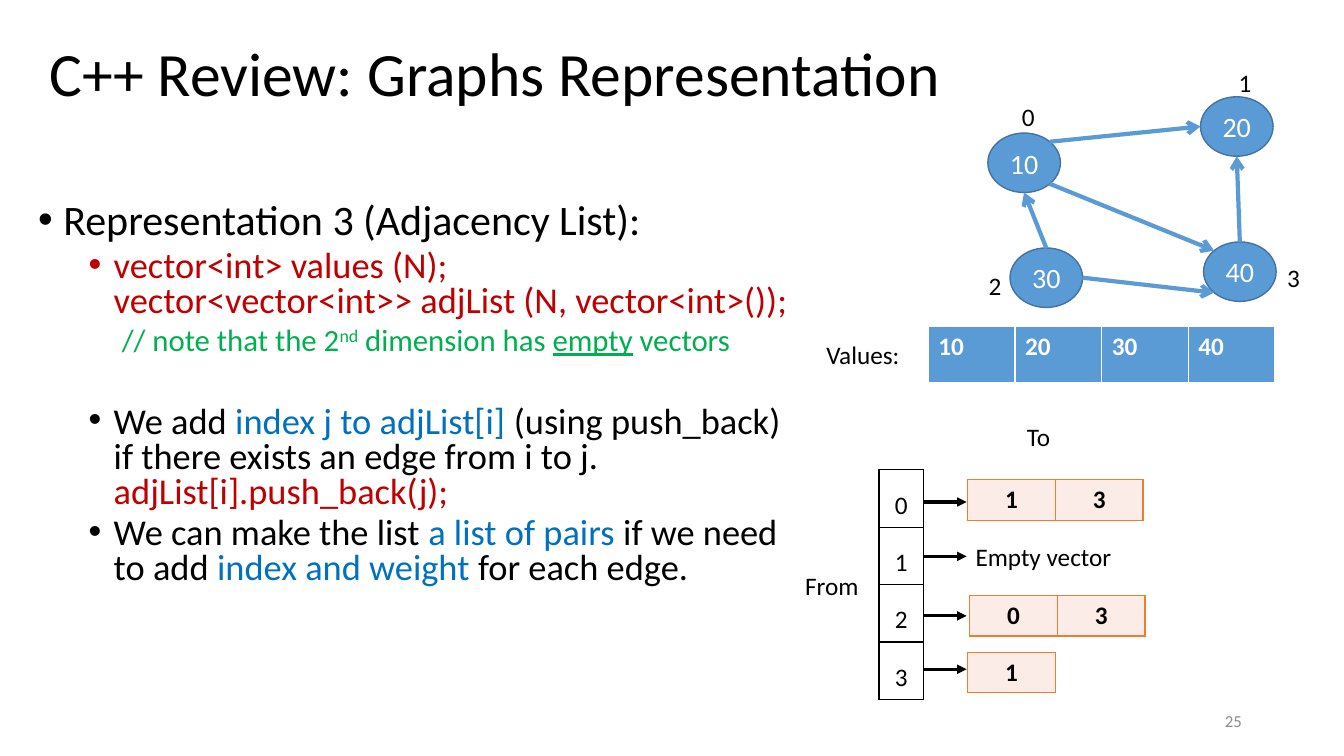
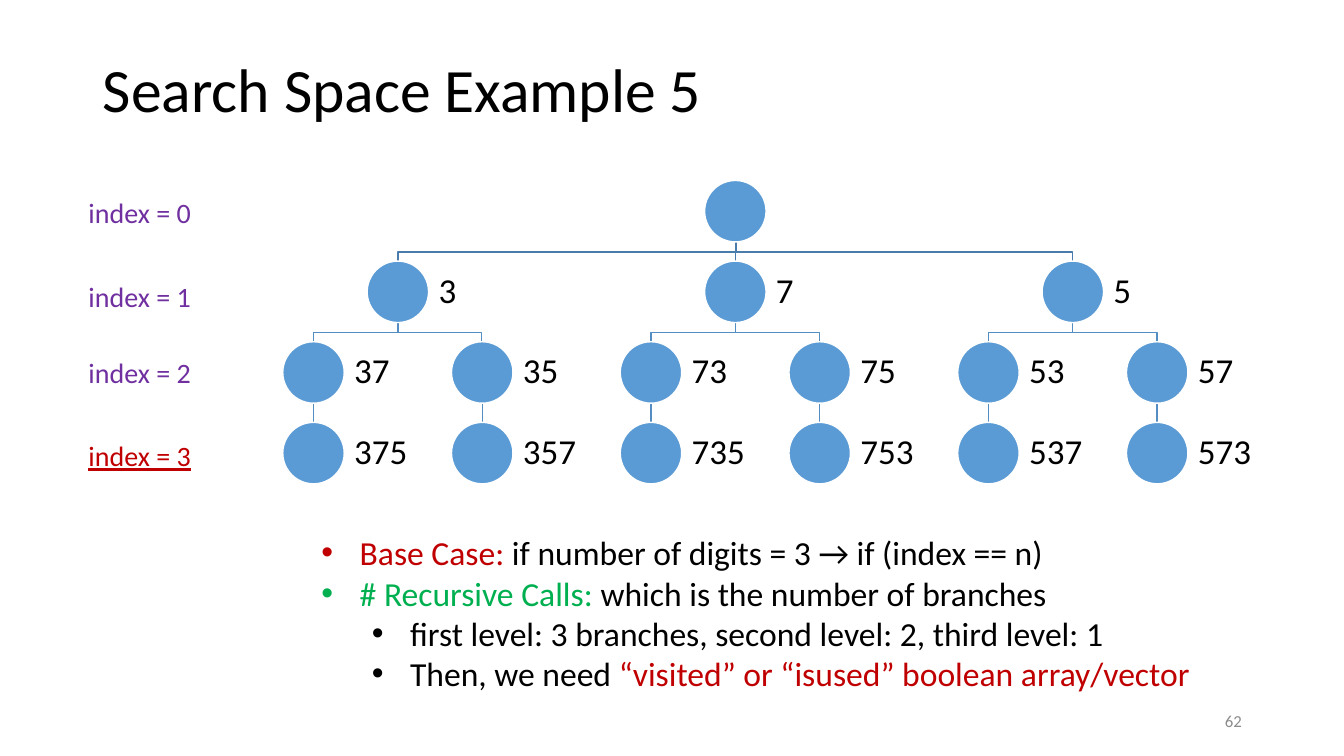
from math import cos, radians, sin

from pptx import Presentation
from pptx.dml.color import RGBColor
from pptx.enum.shapes import MSO_CONNECTOR as Connector, MSO_SHAPE as Shape
from pptx.enum.text import MSO_ANCHOR as Anchor, MSO_AUTO_SIZE as AutoSize, PP_ALIGN as Align
from pptx.oxml.ns import qn
from pptx.util import Pt
from lxml.etree import SubElement

PX = 9144
FONT = "Calibri"
BLACK = RGBColor(0, 0, 0)
WHITE = RGBColor(255, 255, 255)
GRAY = RGBColor(0x8C, 0x8C, 0x8C)
BLUE = RGBColor(0x5B, 0x9B, 0xD5)
NODE_EDGE = RGBColor(0x43, 0x73, 0x9E)
ROOT_BRANCH = RGBColor(0x49, 0x7C, 0xAB)
BRANCH = RGBColor(0x53, 0x8D, 0xC1)
TEXT_BLUE = RGBColor(0, 0x70, 0xC0)
RED = RGBColor(0xC0, 0, 0)
GREEN = RGBColor(0, 0xB0, 0x50)
PURPLE = RGBColor(0x70, 0x30, 0xA0)
ORANGE = RGBColor(0xED, 0x7D, 0x31)
PEACH = RGBColor(0xFC, 0xEC, 0xE8)


def px(*lengths):
    return [round(length * PX) for length in lengths]


def add_run(paragraph, text, size=18, color=BLACK, bold=False, underline=False, baseline=0):
    for number, line in enumerate(text.split("\n")):
        if number:
            paragraph.add_line_break()
        if not line:
            continue
        run = paragraph.add_run()
        run.text = line
        run.font.name = FONT
        run.font.size = Pt(size)
        run.font.color.rgb = color
        run.font.bold = bold
        run.font.underline = underline
        if baseline:
            run.font._element.set("baseline", str(baseline * 1000))


def write(paragraph, *pieces, align=Align.LEFT, spacing=1.0, before=0, left=0, hanging=0,
          bullet=False, **style):
    paragraph.alignment = align
    paragraph.line_spacing = spacing
    paragraph.space_before = Pt(before)
    properties = paragraph._p.get_or_add_pPr()
    properties.set("marL", str(left * PX))
    properties.set("indent", str(-hanging * PX))
    if bullet:
        SubElement(properties, qn("a:buFont"), typeface="Arial")
        SubElement(properties, qn("a:buChar"), char="•")
    for piece in pieces:
        text, changes = (piece, {}) if isinstance(piece, str) else piece
        add_run(paragraph, text, **{**style, **changes})


class Deck:
    def __init__(self):
        self.presentation = Presentation()
        self.presentation.slide_width, self.presentation.slide_height = 12192000, 6858000
        self.slide = None

    def start(self, title, left, top, number):
        self.slide = self.presentation.slides.add_slide(self.presentation.slide_layouts[5])
        shape = self.slide.shapes.title
        shape.left, shape.top, shape.width, shape.height = px(left, top, 1150, 145)
        frame = shape.text_frame
        frame.auto_size = AutoSize.NONE
        frame.vertical_anchor = Anchor.MIDDLE
        write(frame.paragraphs[0], title, size=44, spacing=0.9)
        self.text(942, 695, 300, 40, number, anchor=Anchor.MIDDLE, align=Align.RIGHT,
                  size=12, color=GRAY)

    def frame(self, left, top, width, height, wrap=True, anchor=Anchor.TOP):
        frame = self.slide.shapes.add_textbox(*px(left, top, width, height)).text_frame
        frame.word_wrap = wrap
        frame.vertical_anchor = anchor
        return frame

    def text(self, left, top, width, height, text, wrap=True, anchor=Anchor.TOP, **style):
        frame = self.frame(left, top, width, height, wrap, anchor)
        write(frame.paragraphs[0], text, **style)

    def label(self, left, top, width, text, height=40, **style):
        self.text(left, top, width, height, text, wrap=False, **style)

    def paragraphs(self, box, items, **common):
        frame = self.frame(*box)
        for number, (pieces, style) in enumerate(items):
            paragraph = frame.add_paragraph() if number else frame.paragraphs[0]
            write(paragraph, *pieces, **{**common, **style})

    def ellipse(self, left, top, width, height, edge, text=""):
        shape = self.slide.shapes.add_shape(Shape.OVAL, *px(left, top, width, height))
        shape.shadow.inherit = False
        shape.fill.solid()
        shape.fill.fore_color.rgb = BLUE
        shape.line.color.rgb = edge
        shape.line.width = Pt(1)
        if text:
            shape.text_frame.vertical_anchor = Anchor.MIDDLE
            write(shape.text_frame.paragraphs[0], text, align=Align.CENTER, size=20, color=WHITE)

    def line(self, start, end, color, width, head=None):
        connector = self.slide.shapes.add_connector(Connector.STRAIGHT, *px(*start, *end))
        connector.line.color.rgb = color
        connector.line.width = Pt(width)
        if head:
            SubElement(connector.line._get_or_add_ln(), qn("a:tailEnd"), type=head)
        SubElement(connector._element.spPr, qn("a:effectLst"))

    def elbow(self, start, end, color):
        middle = (start[1] + end[1]) / 2
        builder = self.slide.shapes.build_freeform(*start, scale=PX)
        builder.add_line_segments([(start[0], middle), (end[0], middle), end], close=False)
        shape = builder.convert_to_shape()
        shape.shadow.inherit = False
        shape.fill.background()
        shape.line.color.rgb = color
        shape.line.width = Pt(1)

    def table(self, left, top, cell_width, cell_height, rows, border, fill=None, **style):
        columns = len(rows[0])
        table = self.slide.shapes.add_table(
            len(rows), columns,
            *px(left, top, cell_width * columns, cell_height * len(rows))).table
        table.first_row = table.horz_banding = False
        for row, values in zip(table.rows, rows):
            for cell, value in zip(row.cells, values):
                properties = cell._tc.get_or_add_tcPr()
                for side in "LRTB":
                    line = SubElement(properties, qn(f"a:ln{side}"), w=str(Pt(1)))
                    solid = SubElement(line, qn("a:solidFill"))
                    SubElement(solid, qn("a:srgbClr"), val=str(border))
                if fill is None:
                    cell.fill.background()
                else:
                    cell.fill.solid()
                    cell.fill.fore_color.rgb = fill
                write(cell.text_frame.paragraphs[0], value, **style)


def graph(deck):
    width, height = 72, 59
    nodes = {"10": (980, 132), "30": (1002, 246), "40": (1194, 240), "20": (1191, 96)}
    edges = [("10", -45, "20", 180), ("30", -90, "10", 90), ("10", 45, "40", -135),
             ("30", 0, "40", 135), ("40", -90, "20", 90)]

    def rim(node, angle):
        left, top = nodes[node]
        return (left + width / 2 * (1 + cos(radians(angle))),
                top + height / 2 * (1 + sin(radians(angle))))

    for value, (left, top) in nodes.items():
        deck.ellipse(left, top, width, height, NODE_EDGE, value)
    for source, leave, target, arrive in edges:
        deck.line(rim(source, leave), rim(target, arrive), BLUE, 3, "arrow")
    for index, (left, top) in enumerate([(1004, 96), (1219, 62), (971, 263), (1267, 255)]):
        deck.label(left, top, 33, str(index))


def adjacency_list(deck):
    deck.label(810, 332, 94, "Values:")
    deck.table(921, 324, 86, 56, [["10", "20", "30", "40"]], WHITE, BLUE, color=WHITE, bold=True)
    deck.label(1009, 413, 44, "To")
    deck.label(789, 561, 74, "From")
    deck.table(872, 466, 44, 57, [[str(index)] for index in range(4)], BLACK,
               align=Align.CENTER, spacing=1.5)
    for arrow_y in (498, 552, 611, 664):
        deck.line((916, arrow_y), (959, arrow_y), BLACK, 2.25, "triangle")
    for left, top, targets in [(960, 476, "13"), (962, 591, "03"), (960, 647, "1")]:
        deck.table(left, top, 87, 40, [list(targets)], ORANGE, PEACH,
                   align=Align.CENTER, bold=True)
    deck.label(958, 532, 156, "Empty vector")


def representation_slide(deck):
    deck.start("C++ Review: Graphs Representation", 39, 3, "25")
    red, blue = {"color": RED}, {"color": TEXT_BLUE}
    point = {"left": 75, "hanging": 25, "bullet": True}
    deck.paragraphs((28, 197, 775, 476), [
        (["Representation 3 (Adjacency List):"],
         {"left": 25, "hanging": 25, "bullet": True, "size": 30, "before": 10}),
        (["vector<int> values (N);\nvector<vector<int>> adjList (N, vector<int>());"],
         {**point, **red}),
        (["// note that the 2", ("nd", {"baseline": 30}), " dimension has ",
          ("empty", {"underline": True}), " vectors"],
         {"left": 83, "size": 22, "color": GREEN}),
        (["We add ", ("index j to adjList[i] ", blue),
          "(using push_back)\nif there exists an edge from i to j.\n",
          ("adjList[i].push_back(j);", red)], {**point, "before": 35}),
        (["We can make the list ", ("a list of pairs ", blue), "if we need to add ",
          ("index and weight ", blue), "for each edge."], point),
    ], size=26, spacing=0.8, before=5)
    graph(deck)
    adjacency_list(deck)


def search_tree(deck):
    levels = [[""], ["3", "7", "5"], ["37", "35", "73", "75", "53", "57"],
              ["375", "357", "735", "753", "537", "573"]]
    diameter, row_step, leaf_step = 61, 80, 167.4
    leaves = len(levels[-1])

    def center(depth, index):
        return 311 + leaf_step * ((index + 0.5) * leaves / len(levels[depth]) - 0.5)

    def top(depth):
        return 179 + row_step * depth

    for depth in range(1, len(levels)):
        color = ROOT_BRANCH if depth == 1 else BRANCH
        count, parents = len(levels[depth]), len(levels[depth - 1])
        for index in range(count):
            start = (center(depth - 1, index * parents // count), top(depth - 1) + diameter)
            end = (center(depth, index), top(depth))
            if abs(start[0] - end[0]) < 1:
                deck.line(start, end, color, 1)
            else:
                deck.elbow(start, end, color)
    for depth, names in enumerate(levels):
        for index, name in enumerate(names):
            left = center(depth, index) - diameter / 2
            deck.ellipse(left, top(depth), diameter, diameter, WHITE)
            if name:
                deck.text(left + diameter, top(depth), 91, diameter, name,
                          anchor=Anchor.MIDDLE, size=25, spacing=0.9)


def search_slide(deck):
    deck.start("Search Space Example 5", 92, 19, "62")
    search_tree(deck)
    for index, top in enumerate((189, 272, 348, 430)):
        last = index == 3
        deck.label(78, top, 123, f"index = {index}", height=44, size=20,
                   color=RED if last else PURPLE, underline=last)
    deck.paragraphs((309, 523, 891, 172), [
        ([("Base Case:", {"color": RED}), " if number of digits = 3 → if (index == n)"], {}),
        ([("# Recursive Calls:", {"color": GREEN}), " which is the number of branches"], {}),
        (["first level: 3 branches, second level: 2, third level: 1"], {"left": 88}),
        (["Then, we need ", ("“visited” or “isused” boolean array/vector", {"color": RED})],
         {"left": 88}),
    ], size=24, left=38, hanging=38, bullet=True)


def main():
    deck = Deck()
    representation_slide(deck)
    search_slide(deck)
    deck.presentation.save("out.pptx")


if __name__ == "__main__":
    main()
